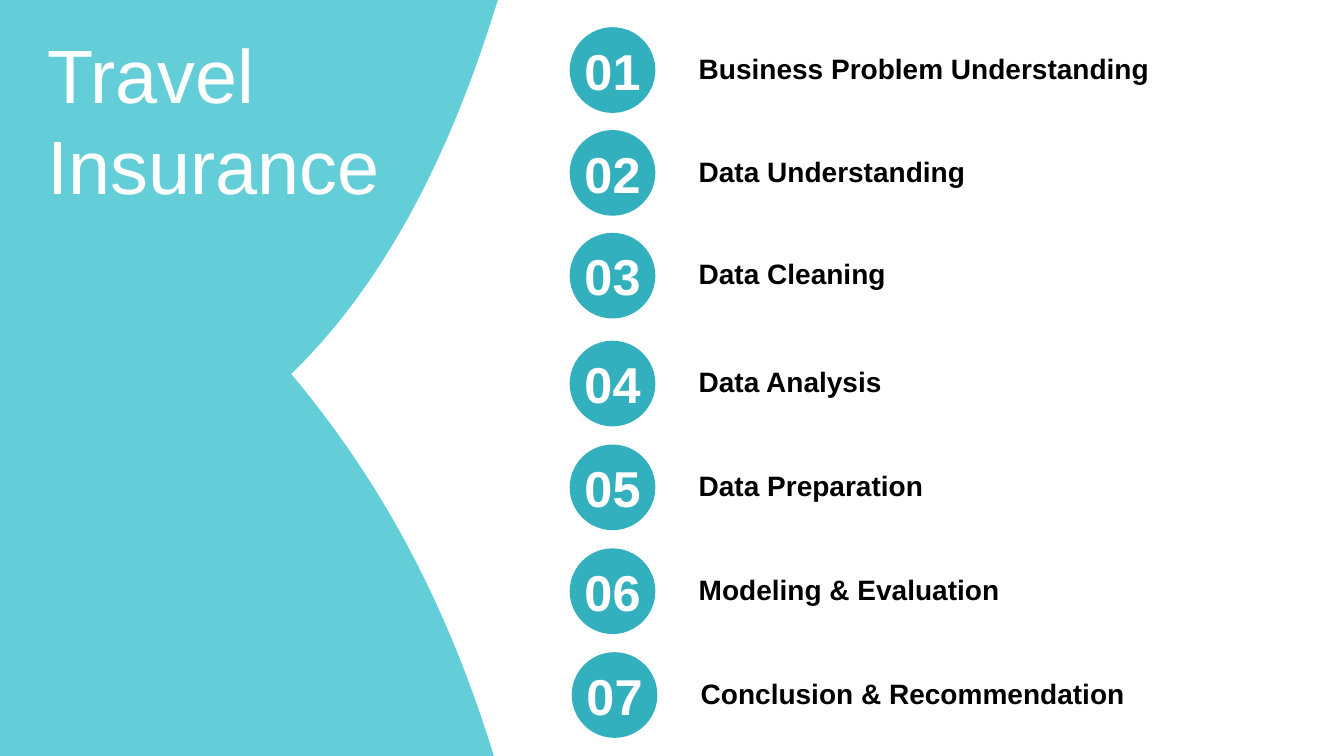
from pptx import Presentation
from pptx.dml.color import RGBColor
from pptx.enum.shapes import MSO_SHAPE as Shape
from pptx.enum.text import MSO_ANCHOR as Anchor, MSO_AUTO_SIZE as AutoSize, PP_ALIGN as Align
from pptx.util import Inches, Pt

TITLE_LINES = ("Travel", "Insurance")
# step, left and top of its circle
STEPS = [
    ("Business Problem Understanding", 5.65, 0.27),
    ("Data Understanding", 5.65, 1.29),
    ("Data Cleaning", 5.65, 2.31),
    ("Data Analysis", 5.65, 3.38),
    ("Data Preparation", 5.65, 4.41),
    ("Modeling & Evaluation", 5.65, 5.44),
    ("Conclusion & Recommendation", 5.67, 6.47),
]
AQUA, TEAL, WHITE, BLACK = "64CED8", "32B0BE", "FFFFFF", "000000"
WIDTH, HEIGHT = 13.33, 7.5
CIRCLE = 0.85
LABEL_DX, LABEL_DY = 1.16, 0.19
# Bezier control points of the white panel's left edge
LOWER_EDGE = [(7.73, 7.31), (7.28, 5.92), (6.66, 4.76), (5.78, 3.71)]
UPPER_EDGE = [(5.78, 3.71), (6.63, 2.89), (7.27, 1.72), (7.74, 0.28)]
EDGE_SHIFT = -2.89  # control points are measured from the panel's left
CURVE_STEPS = 40


def color(hex_code):
    return RGBColor.from_string(hex_code)


def paint(shape, hex_code):
    shape.shadow.inherit = False
    shape.fill.solid()
    shape.fill.fore_color.rgb = color(hex_code)
    shape.line.fill.background()


def add_run(paragraph, text, size, hex_code, bold=False):
    run = paragraph.add_run()
    run.text = text
    run.font.name = "Arial"
    run.font.size = Pt(size)
    run.font.bold = bold
    run.font.color.rgb = color(hex_code)


def curve(controls):
    """Sample a cubic Bezier curve as a list of points."""
    points = []
    for i in range(CURVE_STEPS + 1):
        t = i / CURVE_STEPS
        weights = ((1 - t) ** 3, 3 * t * (1 - t) ** 2, 3 * t * t * (1 - t), t ** 3)
        points.append(tuple(sum(w * p[axis] for w, p in zip(weights, controls))
                            for axis in (0, 1)))
    return points


def add_panel(slide):
    edge = [(x + EDGE_SHIFT, y) for x, y in curve(LOWER_EDGE) + curve(UPPER_EDGE)[1:]]
    outline = [(4.94, 0), (WIDTH, 0), (WIDTH, HEIGHT), (4.9, HEIGHT)] + edge
    points = [(Inches(x), Inches(y)) for x, y in outline]
    builder = slide.shapes.build_freeform(*points[0], scale=1.0)
    builder.add_line_segments(points[1:], close=True)
    paint(builder.convert_to_shape(), WHITE)


def add_title(slide):
    title = slide.shapes.title
    title.left, title.top = Inches(0.37), Inches(0.22)
    title.width, title.height = Inches(3.82), Inches(1.92)
    frame = title.text_frame
    frame.auto_size = AutoSize.NONE
    frame.vertical_anchor = Anchor.MIDDLE
    paragraph = frame.paragraphs[0]
    paragraph.alignment = Align.LEFT
    for i, line in enumerate(TITLE_LINES):
        if i:
            paragraph.add_line_break()
        add_run(paragraph, line, 54, WHITE)


def add_step(slide, number, step, left, top):
    circle = slide.shapes.add_shape(Shape.OVAL, Inches(left), Inches(top),
                                    Inches(CIRCLE), Inches(CIRCLE))
    paint(circle, TEAL)
    frame = circle.text_frame
    frame.margin_left = frame.margin_right = frame.margin_top = frame.margin_bottom = 0
    frame.word_wrap = False
    frame.vertical_anchor = Anchor.MIDDLE
    frame.paragraphs[0].alignment = Align.CENTER
    add_run(frame.paragraphs[0], f"{number:02d}", 36, WHITE, bold=True)

    label = slide.shapes.add_textbox(Inches(left + LABEL_DX), Inches(top + LABEL_DY),
                                     Inches(5.6), Inches(0.44)).text_frame
    label.word_wrap = True
    label.margin_left = label.margin_right = Inches(0.12)
    add_run(label.paragraphs[0], step, 20, BLACK, bold=True)


def main():
    deck = Presentation()
    deck.slide_width, deck.slide_height = Inches(WIDTH), Inches(HEIGHT)
    slide = deck.slides.add_slide(deck.slide_layouts[5])
    slide.background.fill.solid()
    slide.background.fill.fore_color.rgb = color(AQUA)
    add_panel(slide)
    add_title(slide)
    for number, (step, left, top) in enumerate(STEPS, 1):
        add_step(slide, number, step, left, top)
    deck.save("out.pptx")


if __name__ == "__main__":
    main()
